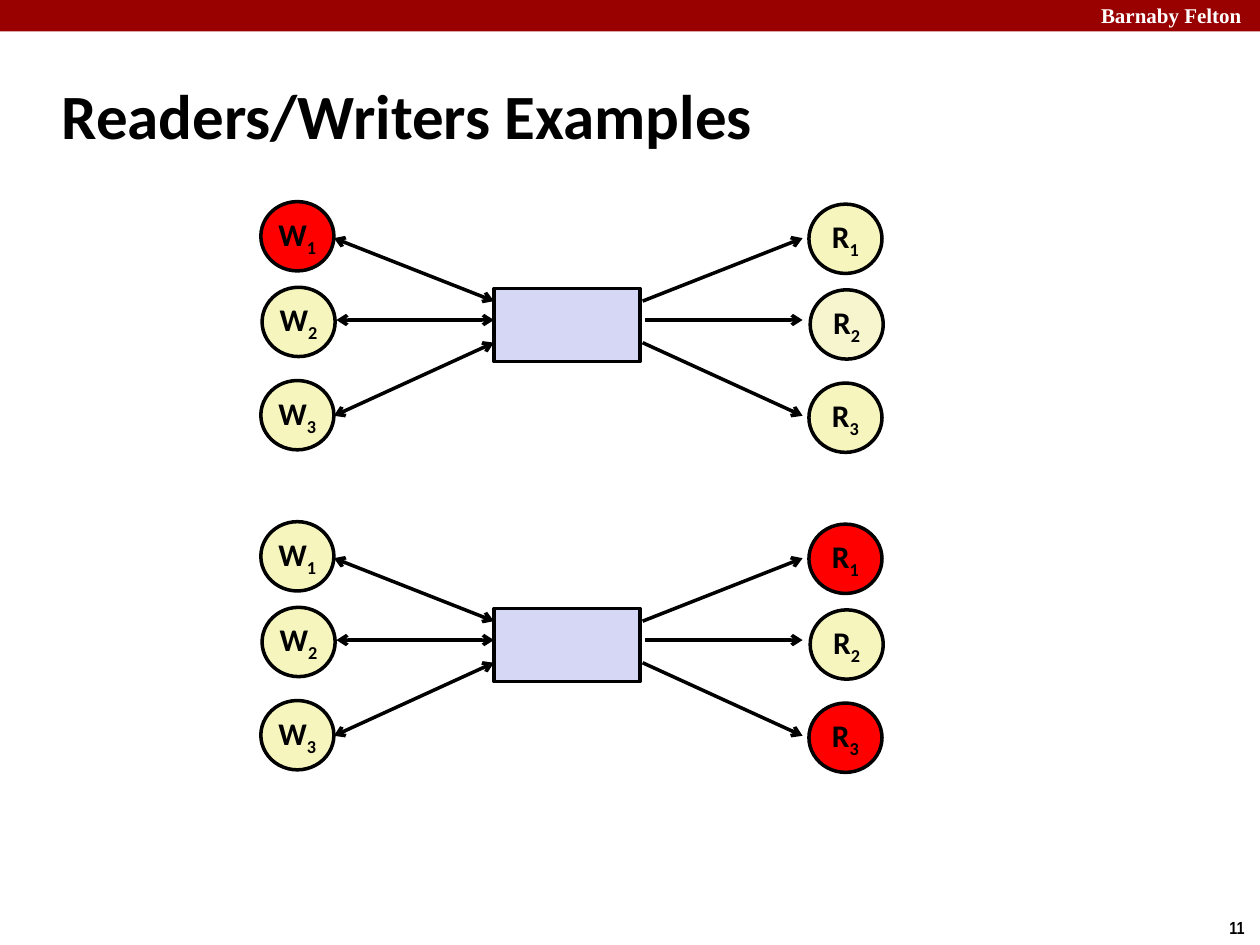
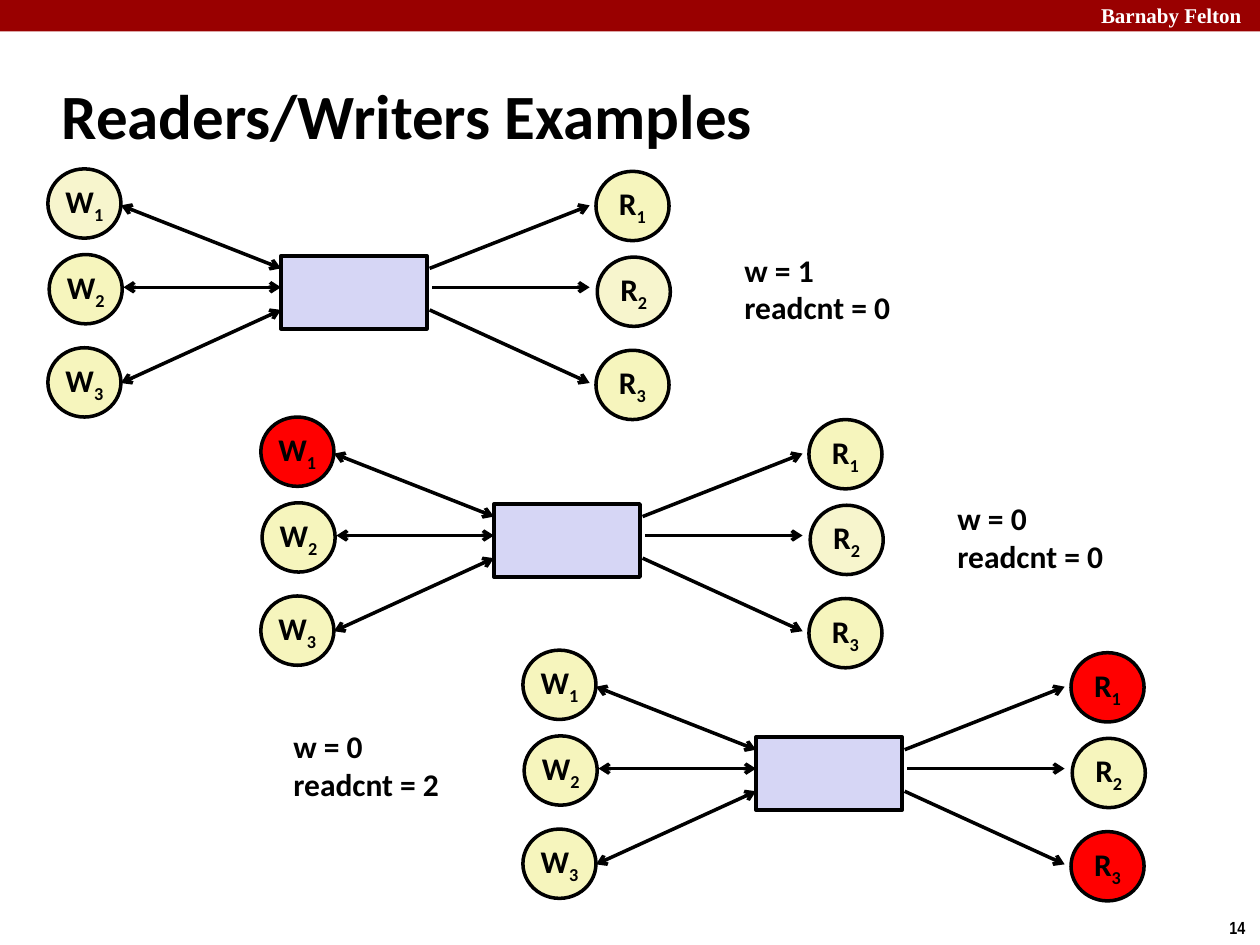
"""Builds two slides of readers and writers sharing a resource."""
from lxml import etree
from pptx import Presentation
from pptx.dml.color import RGBColor
from pptx.enum.shapes import MSO_CONNECTOR, MSO_SHAPE
from pptx.enum.text import MSO_ANCHOR, PP_ALIGN
from pptx.oxml.ns import qn
from pptx.util import Inches, Pt

RECTANGLE, OVAL = MSO_SHAPE.RECTANGLE, MSO_SHAPE.OVAL
STRAIGHT = MSO_CONNECTOR.STRAIGHT
MIDDLE, TOP = MSO_ANCHOR.MIDDLE, MSO_ANCHOR.TOP
LEFT, CENTER = PP_ALIGN.LEFT, PP_ALIGN.CENTER

BLACK, WHITE, BAND_RED = "000000", "FFFFFF", "990000"
ACTIVE, IDLE, PALE, RESOURCE = "FF0000", "F6F5BD", "F7F5CD", "D6D6F5"
BODY_FONT, BAND_FONT, NUMBER_FONT = "Calibri", "Times New Roman", "Arial Narrow"

TITLE = "Readers/Writers Examples"
BAND_NAME = "Barnaby Felton"

PAGES = [
    {"number": "11", "notes": [], "diagrams": [
        {"at": (2.07, 1.6), "fills": {"W1": ACTIVE, "R2": PALE}},
        {"at": (2.07, 4.14), "fills": {"R1": ACTIVE, "R3": ACTIVE}},
    ]},
    {"number": "14", "diagrams": [
        {"at": (2.07, 3.31), "fills": {"W1": ACTIVE, "R2": PALE}},
        {"at": (4.15, 5.16), "fills": {"R1": ACTIVE, "R3": ACTIVE}},
        {"at": (0.38, 1.34), "fills": {"W1": PALE, "R2": PALE}},
    ], "notes": [
        ((7.5, 3.91), ["w = 0", "readcnt = 0"]),
        ((5.81, 1.94), ["w = 1", "readcnt = 0"]),
        ((2.23, 5.72), ["w = 0", "readcnt = 2"]),
    ]},
]

CIRCLE_SIZE = (0.58, 0.55)
RESOURCE_AT, RESOURCE_SIZE = (1.85, 0.69), (1.16, 0.58)
READER_SHIFT = (4.35, 0.02)
CIRCLES = {"1": (0, 0), "2": (0.01, 0.68), "3": (0, 1.42)}
WRITER_ARROWS = [
    ((0.58, 0.29), (1.85, 0.79)),
    ((0.6, 0.94), (1.85, 0.94)),
    ((0.58, 1.7), (1.85, 1.12)),
]
MIRROR_SUM = 4.88


def rgb(value):
    return RGBColor.from_string(value)


def shift(point, offset):
    return point[0] + offset[0], point[1] + offset[1]


def add_span(para, text, size, font=BODY_FONT, color=BLACK):
    span = para.add_run()
    span.text = text
    span.font.size, span.font.name, span.font.bold = Pt(size), font, True
    span.font.color.rgb = rgb(color)
    return span


def add_text(page, at, size, lines, points, font=BODY_FONT, color=BLACK,
             wrap=True, anchor=TOP):
    frame = page.shapes.add_textbox(*map(Inches, at + size)).text_frame
    frame.word_wrap, frame.vertical_anchor = wrap, anchor
    for index, line in enumerate(lines):
        para = frame.add_paragraph() if index else frame.paragraphs[0]
        para.alignment = LEFT
        add_span(para, line, points, font, color)


def add_box(page, kind, at, size, fill, outlined=True):
    box = page.shapes.add_shape(kind, *map(Inches, at + size))
    box.shadow.inherit = False
    box.fill.solid()
    box.fill.fore_color.rgb = rgb(fill)
    if outlined:
        box.line.color.rgb = rgb(BLACK)
        box.line.width = Pt(2)
    else:
        box.line.fill.background()
    return box


def add_circle(page, at, letter, digit, fill):
    frame = add_box(page, OVAL, at, CIRCLE_SIZE, fill).text_frame
    frame.word_wrap, frame.vertical_anchor = False, MIDDLE
    frame.margin_top = frame.margin_bottom = 0
    para = frame.paragraphs[0]
    para.alignment = CENTER
    add_span(para, letter, 18)
    digit_span = add_span(para, digit, 18)
    digit_span.font._element.set("baseline", "-25000")


def add_arrow(page, start, end, ends):
    arrow = page.shapes.add_connector(STRAIGHT, *map(Inches, start + end))
    arrow.line.color.rgb = rgb(BLACK)
    arrow.line.width = Pt(2)
    outline = arrow.line._get_or_add_ln()
    for name in ends:
        etree.SubElement(outline, qn(name), type="arrow")
    etree.SubElement(arrow._element.spPr, qn("a:effectLst"))


def add_diagram(page, at, fills):
    add_box(page, RECTANGLE, shift(at, RESOURCE_AT), RESOURCE_SIZE, RESOURCE)
    for letter, offset in (("W", (0, 0)), ("R", READER_SHIFT)):
        for digit, place in CIRCLES.items():
            fill = fills.get(letter + digit, IDLE)
            add_circle(page, shift(shift(at, offset), place), letter, digit, fill)
    for outer, inner in WRITER_ARROWS:
        add_arrow(page, shift(at, outer), shift(at, inner),
                  ("a:headEnd", "a:tailEnd"))
        reader = (4.3, outer[1])
        resource = (MIRROR_SUM - inner[0] + outer[0] - 0.58, inner[1])
        add_arrow(page, shift(at, reader), shift(at, resource), ("a:headEnd",))


def add_page(deck, content):
    page = deck.slides.add_slide(deck.slide_layouts[6])
    add_box(page, RECTANGLE, (0, 0), (10, 0.25), BAND_RED, outlined=False)
    add_text(page, (8.64, -0.03), (1.43, 0.3), [BAND_NAME], 12, BAND_FONT, WHITE)
    add_text(page, (9.66, 7.23), (0.34, 0.27), [content["number"]], 10,
             NUMBER_FONT, wrap=False)
    add_text(page, (0.39, 0.49), (8.3, 0.83), [TITLE], 36, anchor=MIDDLE)
    for diagram in content["diagrams"]:
        add_diagram(page, diagram["at"], diagram["fills"])
    for at, lines in content["notes"]:
        add_text(page, at, (1.38, 0.71), lines, 18, wrap=False)


def main():
    deck = Presentation()
    deck.slide_width, deck.slide_height = Inches(10), Inches(7.5)
    for content in PAGES:
        add_page(deck, content)
    deck.save("out.pptx")


if __name__ == "__main__":
    main()
